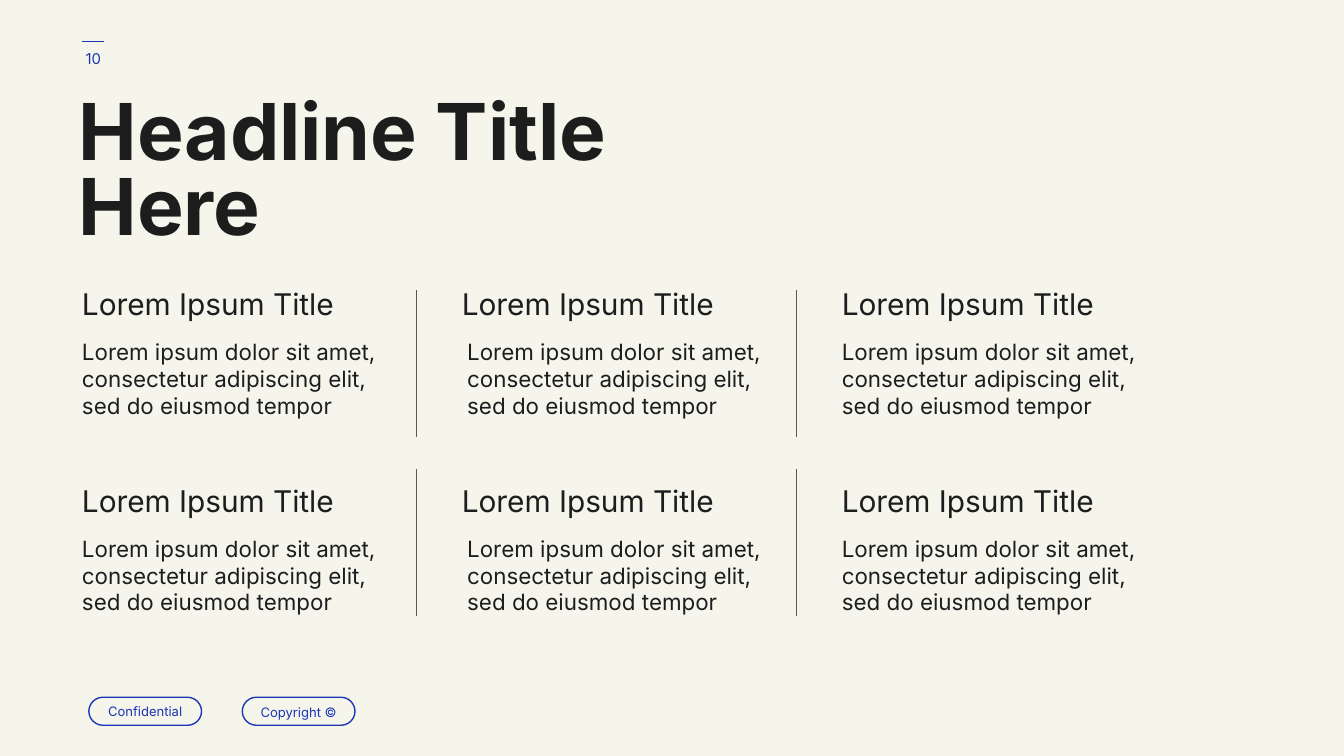
from dataclasses import dataclass
from lxml import etree
from pptx import Presentation
from pptx import util as u
from pptx.dml.color import RGBColor
from pptx.enum import shapes, text
from pptx.oxml import ns

# Content
PAGE_NUMBER = "10"
HEADLINE = ["Headline Title", "Here"]
ITEM = ("Lorem Ipsum Title",
        "Lorem ipsum dolor sit amet, consectetur adipiscing elit, sed do eiusmod tempor")
ITEM_ROWS = [[ITEM] * 3, [ITEM] * 3]
BADGES = [("Confidential", 1.0), ("Copyright ©", 1.15)]


@dataclass(frozen=True)
class Theme:
    font: str = "Inter"
    paper: str = "F6F5EC"
    ink: str = "1D1D1D"
    accent: str = "1A36B4"
    rule: str = "595959"
    headline: int = 42
    subtitle: int = 16
    body: int = 12
    page: int = 8
    badge: int = 7
    line: float = 0.75


THEME = Theme()
MIDDLE = text.MSO_ANCHOR.MIDDLE
CENTER = text.PP_ALIGN.CENTER

# Grid in centimetres
COLUMN_LEFT, COLUMN_STEP = 1.3, 7.18
ROW_TOP, ROW_STEP = 5.16, 3.71
BODY_DROP = 0.99
BODY_SHIFTS = [0, 0.1, 0]
DIVIDER_LEFT, DIVIDER_TOP = 7.87, 5.49
DIVIDER_STEP, DIVIDER_LENGTH = 3.38, 2.77
BADGE_LEFT, BADGE_STEP = 1.68, 2.9


def write(shape, lines, size, color, bold=False, align=None, spacing=1.0, anchor=text.MSO_ANCHOR.TOP):
    frame = shape.text_frame
    margins = {f"margin_{side}": u.Cm(0.25) for side in ("left", "top", "right", "bottom")}
    for name, value in {**margins, "word_wrap": True, "vertical_anchor": anchor}.items():
        setattr(frame, name, value)
    frame.text = "\n".join(lines)
    for paragraph in frame.paragraphs:
        for name, value in {"alignment": align, "line_spacing": spacing}.items():
            setattr(paragraph, name, value)
        font = paragraph.runs[0].font
        for name, value in {"name": THEME.font, "size": u.Pt(size), "bold": bold}.items():
            setattr(font, name, value)
        font.color.rgb = RGBColor.from_string(color)


def add_text(slide, box, lines, size, color=THEME.ink, **style):
    write(slide.shapes.add_textbox(*map(u.Cm, box)), lines, size, color, **style)


def set_line(shape, color):
    shape.line.color.rgb = RGBColor.from_string(color)
    shape.line.width = u.Pt(THEME.line)


def add_line(slide, ends, color):
    connector = slide.shapes.add_connector(shapes.MSO_CONNECTOR.STRAIGHT, *map(u.Cm, ends))
    set_line(connector, color)
    etree.SubElement(connector._element.spPr, ns.qn("a:effectLst"))


def add_badge(slide, left, label, spacing):
    badge = slide.shapes.add_shape(shapes.MSO_SHAPE.ROUNDED_RECTANGLE,
                                   *map(u.Cm, (left, 13.18, 2.13, 0.53)))
    badge.adjustments[0] = 0.5
    badge.shadow.inherit = False
    badge.fill.background()
    set_line(badge, THEME.accent)
    write(badge, [label], THEME.badge, THEME.accent, align=CENTER, spacing=spacing, anchor=MIDDLE)


def main():
    presentation = Presentation()
    presentation.slide_width, presentation.slide_height = u.Cm(25.4), u.Cm(14.29)
    slide = presentation.slides.add_slide(presentation.slide_layouts[6])
    slide.background.fill.solid()
    slide.background.fill.fore_color.rgb = RGBColor.from_string(THEME.paper)

    # Page marker and footer badges
    add_line(slide, (1.97, 0.78, 1.55, 0.78), THEME.accent)
    add_text(slide, (1.17, 0.56, 1.19, 1.09), [PAGE_NUMBER], THEME.page, THEME.accent,
             align=CENTER, anchor=MIDDLE)
    for index, (label, spacing) in enumerate(BADGES):
        add_badge(slide, BADGE_LEFT + index * BADGE_STEP, label, spacing)

    # Headline
    add_text(slide, (1.24, 1.65, 12.27, 3.51), HEADLINE, THEME.headline, bold=True, spacing=0.8)

    # Items, with dividers between the columns
    for row, items in enumerate(ITEM_ROWS):
        top = ROW_TOP + row * ROW_STEP
        divider_top = DIVIDER_TOP + row * DIVIDER_STEP
        for column, (title, body) in enumerate(items):
            left = COLUMN_LEFT + column * COLUMN_STEP
            add_text(slide, (left, top, 5.97, 1.02), [title], THEME.subtitle)
            add_text(slide, (left + BODY_SHIFTS[column], top + BODY_DROP, 6.07, 1.98),
                     [body], THEME.body)
            if column < len(items) - 1:
                x = DIVIDER_LEFT + column * COLUMN_STEP
                add_line(slide, (x, divider_top, x, divider_top + DIVIDER_LENGTH), THEME.rule)

    presentation.save("out.pptx")


if __name__ == "__main__":
    main()
